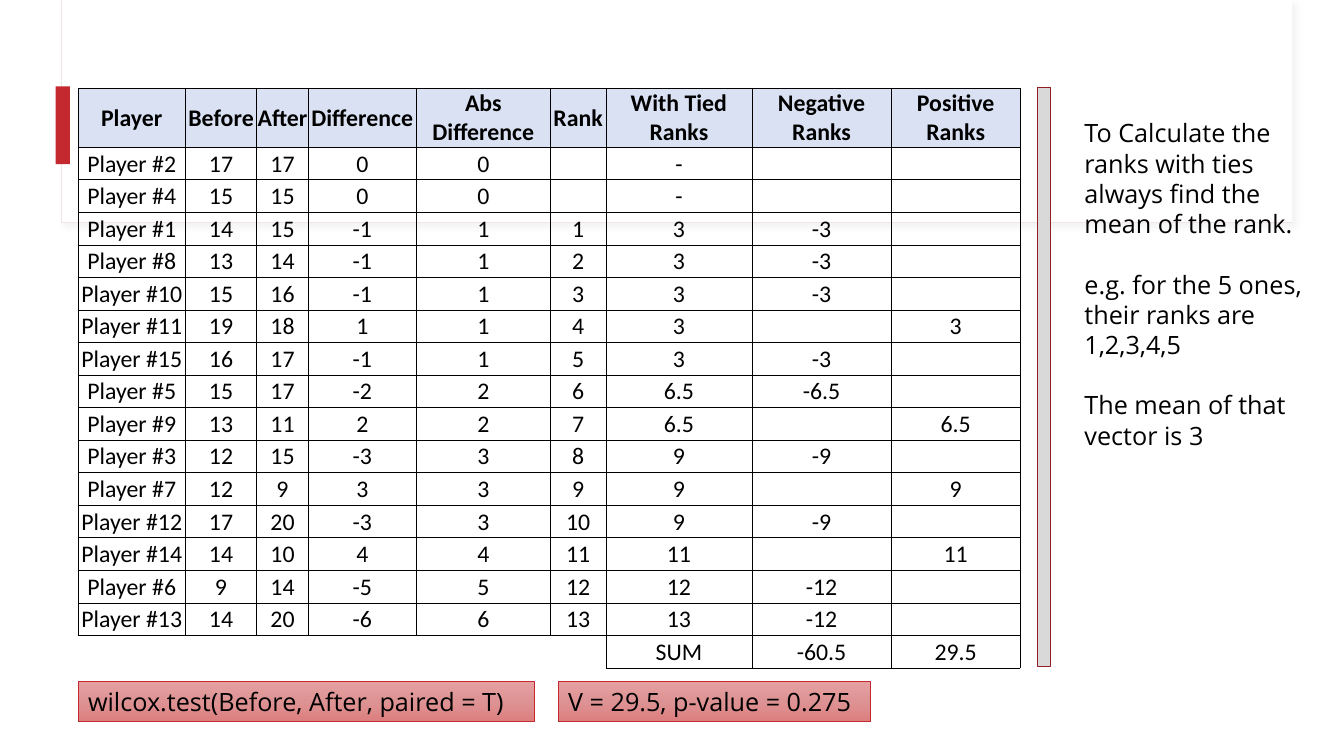
from copy import deepcopy

from lxml import etree
from pptx import Presentation
from pptx import util as u
from pptx.dml.color import RGBColor
from pptx.enum import shapes, text
from pptx.oxml import parse_xml
from pptx.oxml.ns import nsdecls, qn

WHITE = RGBColor(0xFF, 0xFF, 0xFF)
BLACK = RGBColor(0, 0, 0)
RED = RGBColor(0xC3, 0x29, 0x2E)
DARK_RED = RGBColor(0x90, 0x1E, 0x22)
PALE_PINK = RGBColor(0xF0, 0xE5, 0xE5)
GREY = RGBColor(0xD9, 0xD9, 0xD9)
HEADER_BLUE = RGBColor(0xD9, 0xE1, 0xF2)
PINKS = [(0, RGBColor(0xE6, 0xA0, 0xA1)), (0.5, RGBColor(0xDD, 0x93, 0x94)),
         (1, RGBColor(0xDD, 0x7E, 0x7F))]

NO_GRID_STYLE = "{2D5ABB26-0587-4C30-8999-92F81FD0307C}"
COLUMN_WIDTHS = [2.7, 1.8, 1.3, 2.72, 3.38, 1.4, 3.68, 3.51, 3.25]
HEADER_HEIGHT, ROW_HEIGHT = 1.49, 0.82
HEADER = ["Player", "Before", "After", "Difference", "Abs Difference", "Rank",
          "With Tied Ranks", "Negative Ranks", "Positive Ranks"]
PLAYERS = [
    ["Player #2", "17", "17", "0", "0", "", "-", "", ""],
    ["Player #4", "15", "15", "0", "0", "", "-", "", ""],
    ["Player #1", "14", "15", "-1", "1", "1", "3", "-3", ""],
    ["Player #8", "13", "14", "-1", "1", "2", "3", "-3", ""],
    ["Player #10", "15", "16", "-1", "1", "3", "3", "-3", ""],
    ["Player #11", "19", "18", "1", "1", "4", "3", "", "3"],
    ["Player #15", "16", "17", "-1", "1", "5", "3", "-3", ""],
    ["Player #5", "15", "17", "-2", "2", "6", "6.5", "-6.5", ""],
    ["Player #9", "13", "11", "2", "2", "7", "6.5", "", "6.5"],
    ["Player #3", "12", "15", "-3", "3", "8", "9", "-9", ""],
    ["Player #7", "12", "9", "3", "3", "9", "9", "", "9"],
    ["Player #12", "17", "20", "-3", "3", "10", "9", "-9", ""],
    ["Player #14", "14", "10", "4", "4", "11", "11", "", "11"],
    ["Player #6", "9", "14", "-5", "5", "12", "12", "-12", ""],
    ["Player #13", "14", "20", "-6", "6", "13", "13", "-12", ""],
]
TOTALS = [""] * 6 + ["SUM", "-60.5", "29.5"]
NOTES = ["To Calculate the ranks with ties always find the mean of the rank.",
         "e.g. for the 5 ones, their ranks are 1,2,3,4,5",
         "The mean of that vector is 3"]


class SlideBuilder:
    body = {"name": "Open Sans", "size": u.Pt(18), "bold": False}
    cell = {"name": "Calibri", "size": u.Pt(17), "bold": False}
    cell_format = {"margin_left": u.Cm(0.02), "margin_right": u.Cm(0.02),
                   "margin_top": u.Cm(0.02), "margin_bottom": 0,
                   "vertical_anchor": text.MSO_ANCHOR.MIDDLE}

    def __init__(self, slide):
        self.slide = slide

    def add_text(self, p, words, style):
        r = p.add_run()
        r.text = words
        for name, value in style.items():
            setattr(r.font, name, value)
        r.font.color.rgb = BLACK

    def box(self, left, top, width, height, fill=None, line=None, weight=0.5):
        sp = self.slide.shapes.add_shape(
            shapes.MSO_SHAPE.RECTANGLE, *map(u.Cm, (left, top, width, height)))
        sp.shadow.inherit = False
        if fill is not None:
            sp.fill.solid()
            sp.fill.fore_color.rgb = fill
        if line is None:
            sp.line.fill.background()
        else:
            sp.line.color.rgb = line
            sp.line.width = u.Pt(weight)
        return sp

    def shadowed_box(self, *args, **kwargs):
        sp = self.box(*args, **kwargs)
        effects = sp._element.spPr.find(qn("a:effectLst"))
        effects.append(parse_xml(
            f'<a:outerShdw {nsdecls("a")} blurRad="50800" dist="38100" dir="2700000">'
            f'<a:srgbClr val="{GREY}"><a:alpha val="30000"/></a:srgbClr></a:outerShdw>'))

    def code_box(self, left, width, words):
        sp = self.box(left, 17.17, width, 1.02, line=RED)
        sp.fill.gradient()
        sp.fill.gradient_angle = 270
        stops = sp._element.spPr.find(".//" + qn("a:gsLst"))
        stops.append(deepcopy(stops[-1]))
        for stop, (position, color) in zip(sp.fill.gradient_stops, PINKS):
            stop.position = position
            stop.color.rgb = color
        tf = sp.text_frame
        tf.word_wrap = True
        p = tf.paragraphs[0]
        p.alignment = text.PP_ALIGN.LEFT
        self.add_text(p, words, self.body)

    def notes(self, left, top, width, height, paragraphs):
        sp = self.slide.shapes.add_textbox(*map(u.Cm, (left, top, width, height)))
        tf = sp.text_frame
        tf.word_wrap = True
        for i, words in enumerate(paragraphs):
            p = tf.add_paragraph() if i else tf.paragraphs[0]
            p.space_before = u.Pt(21.6 if i else 0)
            self.add_text(p, words, self.body)

    def border(self, cell, sides):
        """Draw thin black lines on the given sides (L, R, T, B) of a cell."""
        tcPr = cell._tc.get_or_add_tcPr()
        for i, side in enumerate(sides):
            ln = etree.Element(qn(f"a:ln{side}"), w="6350")
            fill = etree.SubElement(ln, qn("a:solidFill"))
            etree.SubElement(fill, qn("a:srgbClr"), val=str(BLACK))
            tcPr.insert(i, ln)

    def table(self, left, top, rows):
        height = HEADER_HEIGHT + ROW_HEIGHT * (len(rows) - 1)
        frame = self.slide.shapes.add_table(
            len(rows), len(HEADER),
            *map(u.Cm, (left, top, sum(COLUMN_WIDTHS), height)))
        tbl = frame.table
        tbl.first_row = tbl.horz_banding = False
        tbl._tbl.tblPr.find(qn("a:tableStyleId")).text = NO_GRID_STYLE
        for column, width in zip(tbl.columns, COLUMN_WIDTHS):
            column.width = u.Cm(width)
        last = len(rows) - 1
        for i, row in enumerate(rows):
            tbl.rows[i].height = u.Cm(ROW_HEIGHT if i else HEADER_HEIGHT)
            for j, words in enumerate(row):
                cell = tbl.cell(i, j)
                for name, value in self.cell_format.items():
                    setattr(cell, name, value)
                if i == 0:
                    cell.fill.solid()
                    cell.fill.fore_color.rgb = HEADER_BLUE
                else:
                    cell.fill.background()
                p = cell.text_frame.paragraphs[0]
                p.alignment = text.PP_ALIGN.CENTER
                if words:
                    self.add_text(p, words, {**self.cell, "bold": i == 0})
                else:
                    p._p.get_or_add_endParaRPr().set("sz", "1700")
                if i < last or words:
                    self.border(cell, "LRTB")
                else:
                    self.border(cell, "RT" if row[j + 1] else "T")


def main():
    prs = Presentation()
    prs.slide_width, prs.slide_height = u.Cm(33.87), u.Cm(19.05)
    s = SlideBuilder(prs.slides.add_slide(prs.slide_layouts[6]))
    s.shadowed_box(1.55, 0, 31.01, 5.61, fill=WHITE, line=PALE_PINK, weight=0.75)
    s.box(1.57, 0, 30.99, 5.59, fill=WHITE)
    s.box(1.4, 2.18, 0.36, 1.96, fill=RED)
    s.table(1.97, 2.22, [HEADER, *PLAYERS, TOTALS])
    s.box(26.14, 2.21, 0.33, 14.58, fill=GREY, line=DARK_RED, weight=1)
    s.notes(27.08, 2.84, 6.12, 8.71, NOTES)
    s.code_box(1.97, 11.5, "wilcox.test(Before, After, paired = T)")
    s.code_box(14.07, 7.87, "V = 29.5, p-value = 0.275")
    prs.save("out.pptx")


if __name__ == "__main__":
    main()
